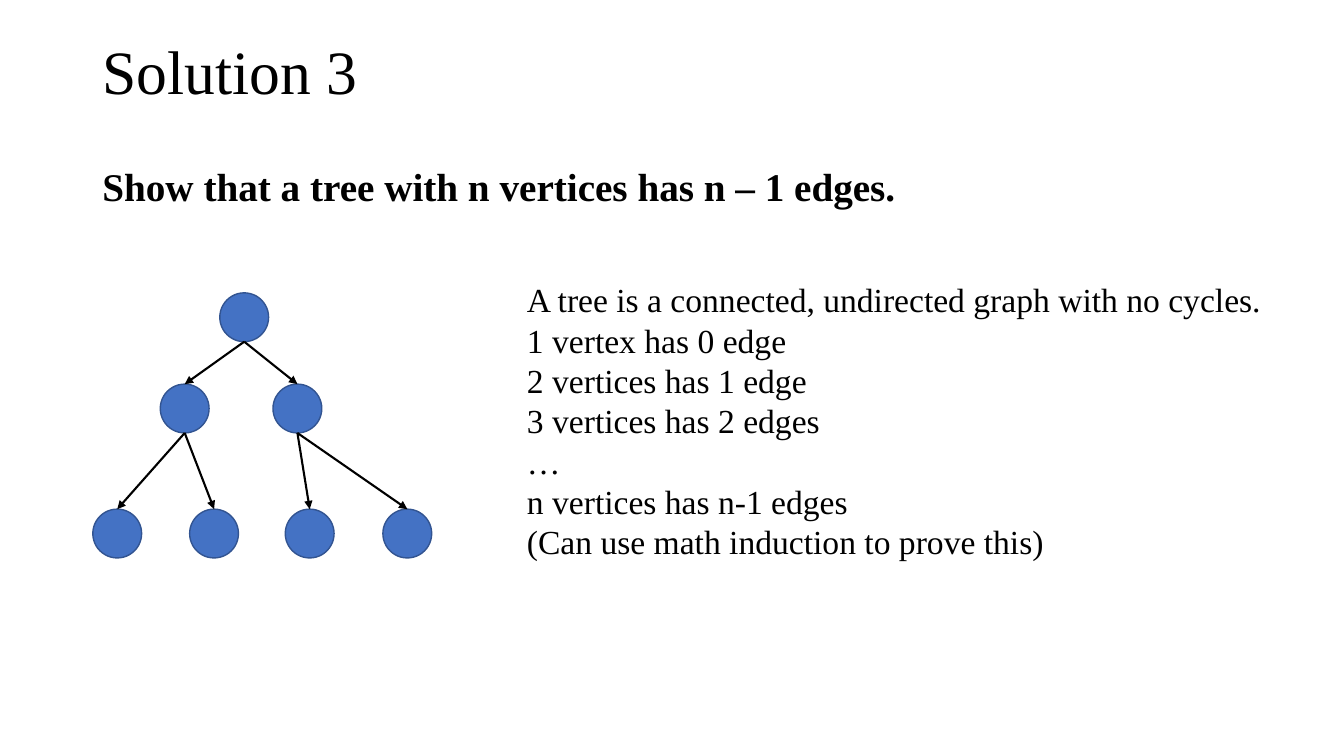
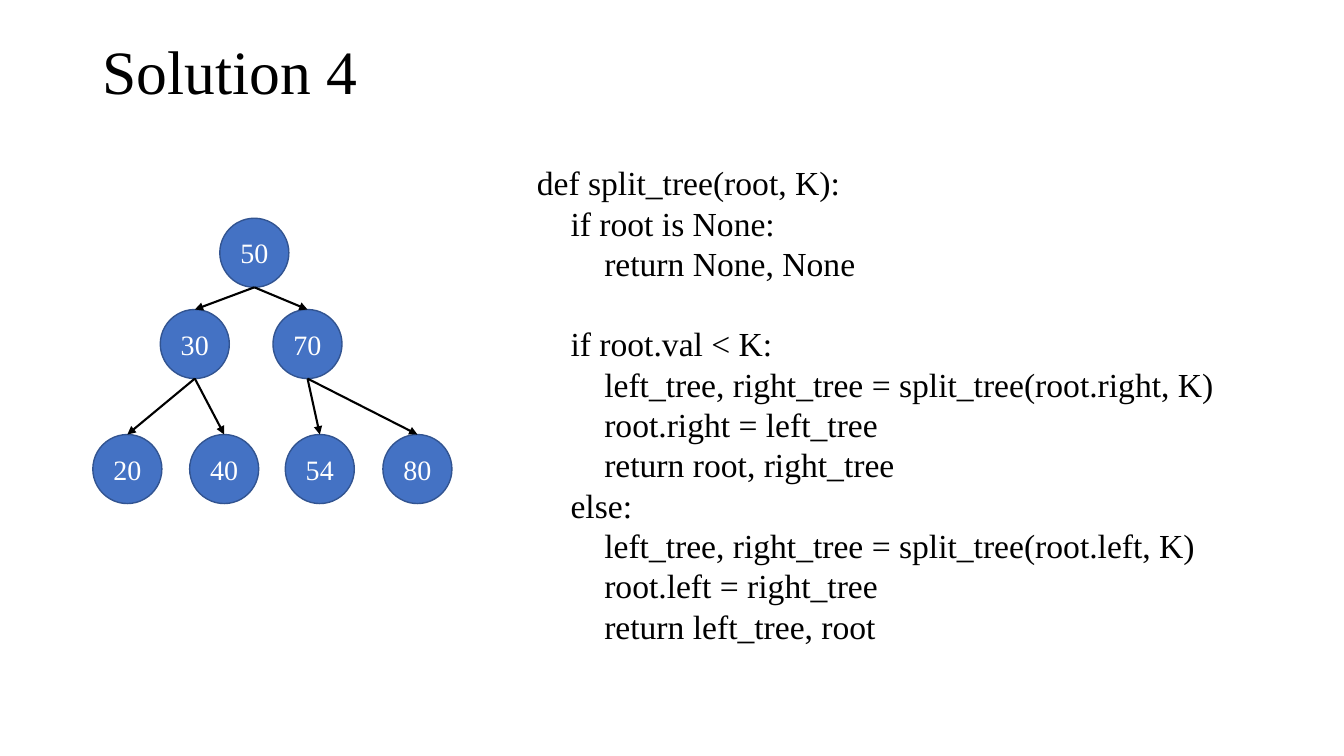
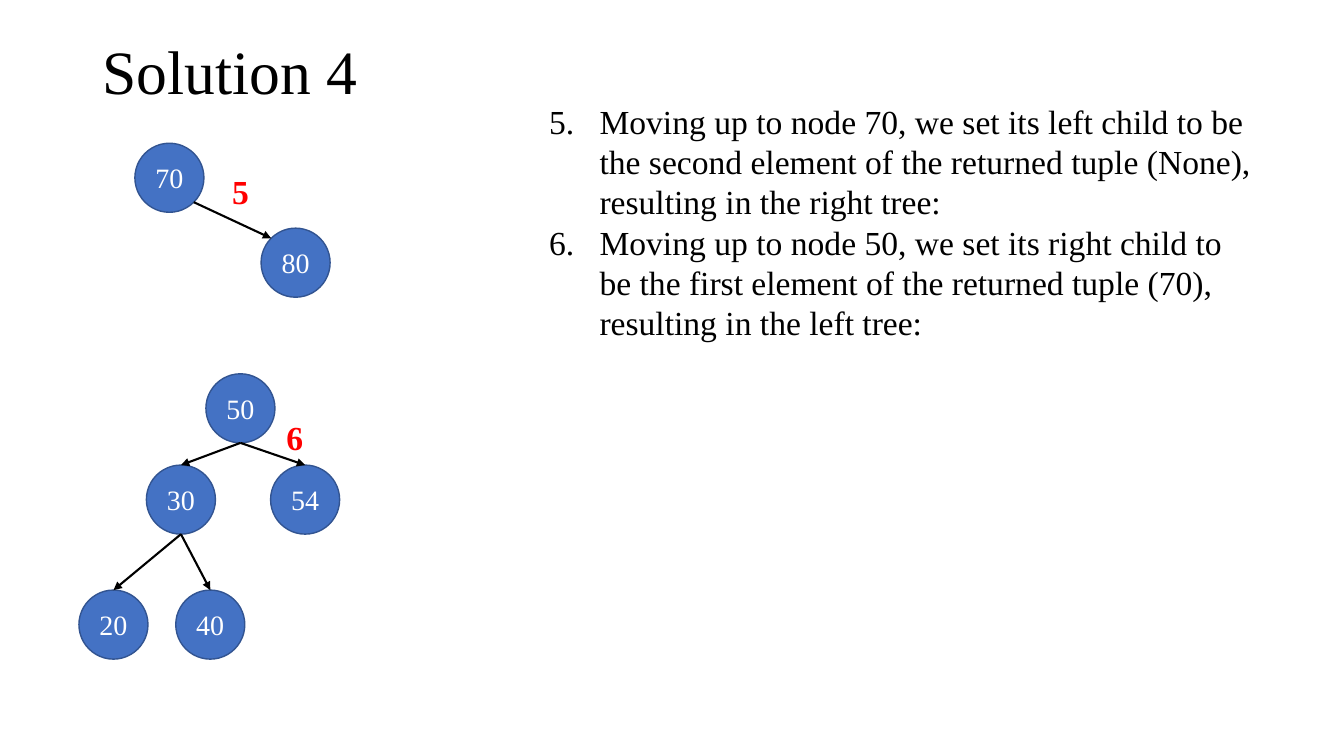
import lxml.etree
import pptx
import pptx.dml.color
import pptx.enum.shapes
import pptx.enum.text
import pptx.oxml.ns
import pptx.util

Cm = pptx.util.Cm
Pt = pptx.util.Pt
RGBColor = pptx.dml.color.RGBColor
qn = pptx.oxml.ns.qn

# Shared style
FONT = "Times New Roman"
BLACK = RGBColor(0x00, 0x00, 0x00)
WHITE = RGBColor(0xFF, 0xFF, 0xFF)
RED = RGBColor(0xFF, 0x00, 0x00)
BLUE = RGBColor(0x44, 0x72, 0xC4)
NAVY = RGBColor(0x32, 0x54, 0x91)
SMALL, LARGE = 1.23, 1.74  # node diameters in cm
TAB = 0.85  # one code indent in cm
STEP = 1.27  # hanging indent of a numbered item in cm
LINE = 28.8  # height of a text line in points

# Connection sites of an ellipse
TOP, TOP_LEFT, BOTTOM, LOW_RIGHT = 0, 1, 4, 5

# Node offsets from the root in cm, level by level
PLACES = [(0, 0), (-1.5, 2.3), (1.34, 2.3),
          (-3.2, 5.45), (-0.76, 5.45), (1.65, 5.45), (4.11, 5.45)]

# Content
CLAIM = "Show that a tree with n vertices has n – 1 edges."
PROOF = [
    "A tree is a connected, undirected graph with no cycles.",
    "1 vertex has 0 edge",
    "2 vertices has 1 edge",
    "3 vertices has 2 edges",
    "…",
    "n vertices has n-1 edges",
    "(Can use math induction to prove this)",
]
# Indent level, lines left free above, text
CODE = [
    (0, 0, "def split_tree(root, K):"),
    (1, 0, "if root is None:"),
    (2, 0, "return None, None"),
    (1, 1, "if root.val < K:"),
    (2, 0, "left_tree, right_tree = split_tree(root.right, K)"),
    (2, 0, "root.right = left_tree"),
    (2, 0, "return root, right_tree"),
    (1, 0, "else:"),
    (2, 0, "left_tree, right_tree = split_tree(root.left, K)"),
    (2, 0, "root.left = right_tree"),
    (2, 0, "return left_tree, root"),
]
FIRST = 5
STEPS = [
    "Moving up to node 70, we set its left child to be the second element "
    "of the returned tuple (None), resulting in the right tree:",
    "Moving up to node 50, we set its right child to be the first element "
    "of the returned tuple (70), resulting in the left tree:",
]
FULL = ["50", "30", "70", "20", "40", "54", "80"]
LEFT = ["50", "30", "54", "20", "40"]
MARKS = [("5", 5.44, 4.19), ("6", 6.81, 10.39)]


def add_run(para, text, size, color=BLACK, bold=False):
    run = para.add_run()
    run.text = text
    font = run.font
    font.name, font.size, font.bold = FONT, Pt(size), bold
    font.color.rgb = color


def add_text(slide, box, lines, size=24, color=BLACK, bold=False):
    """Add a text box with one paragraph a line; return its frame."""
    frame = slide.shapes.add_textbox(*map(Cm, box)).text_frame
    frame.word_wrap = True
    for i, line in enumerate(lines):
        para = frame.add_paragraph() if i else frame.paragraphs[0]
        add_run(para, line, size, color, bold)
    return frame


def add_page(deck, title):
    slide = deck.slides.add_slide(deck.slide_layouts[6])
    frame = add_text(slide, (2.33, 0.05, 29.21, 3.68), [title], 44)
    frame.vertical_anchor = pptx.enum.text.MSO_ANCHOR.MIDDLE
    frame.paragraphs[0].line_spacing = 0.9
    return slide


def indent(para, left, first=0):
    props = para._p.get_or_add_pPr()
    props.set("marL", str(Cm(left)))
    props.set("indent", str(Cm(first)))
    return props


def add_node(slide, x, y, size, label):
    kind = pptx.enum.shapes.MSO_SHAPE.OVAL
    node = slide.shapes.add_shape(kind, Cm(x), Cm(y), Cm(size), Cm(size))
    node.shadow.inherit = False
    node.fill.solid()
    node.fill.fore_color.rgb = BLUE
    node.line.color.rgb = NAVY
    node.line.width = Pt(1)
    if label:
        frame = node.text_frame
        frame.margin_left = frame.margin_right = 0
        frame.margin_top = frame.margin_bottom = 0
        frame.vertical_anchor = pptx.enum.text.MSO_ANCHOR.MIDDLE
        para = frame.paragraphs[0]
        para.alignment = pptx.enum.text.PP_ALIGN.CENTER
        add_run(para, label, 20, WHITE)
    return node


def site_point(node, site):
    """Point of a connection site on the rim of a round node."""
    near, far = 0.5 - 0.125 ** 0.5, 0.5 + 0.125 ** 0.5
    fx, fy = {TOP: (0.5, 0), TOP_LEFT: (near, near),
              BOTTOM: (0.5, 1), LOW_RIGHT: (far, far)}[site]
    return node.left + int(node.width * fx), node.top + int(node.height * fy)


def add_edge(slide, start, end, out=BOTTOM, into=TOP):
    kind = pptx.enum.shapes.MSO_CONNECTOR.STRAIGHT
    edge = slide.shapes.add_connector(
        kind, *site_point(start, out), *site_point(end, into))
    edge.line.color.rgb = BLACK
    edge.line.width = Pt(1.5)
    # Arrowhead, no shadow
    lxml.etree.SubElement(edge.line._get_or_add_ln(), qn("a:tailEnd"),
                          type="triangle")
    lxml.etree.SubElement(edge._element.spPr, qn("a:effectLst"))
    # Join both ends to the round nodes
    joins = edge._element.find(".//" + qn("p:cNvCxnSpPr"))
    for tag, node, site in (("a:stCxn", start, out), ("a:endCxn", end, into)):
        lxml.etree.SubElement(joins, qn(tag), id=str(node.shape_id),
                              idx=str(site))


def add_tree(slide, x, y, size, labels, shift=0):
    """Draw a binary tree by levels; shift moves the root's right child."""
    nodes = []
    for i, (label, (dx, dy)) in enumerate(zip(labels, PLACES)):
        dx += shift if i == 2 else 0
        nodes.append(add_node(slide, x + dx, y + dy, size, label))
    for i, node in enumerate(nodes[1:]):
        add_edge(slide, nodes[i // 2], node)


def proof_page(deck):
    slide = add_page(deck, "Solution 3")
    frame = add_text(slide, (2.33, 4.09, 29.21, 1.6), [CLAIM], 28, bold=True)
    frame.paragraphs[0].line_spacing = 0.9
    add_tree(slide, 5.54, 7.38, SMALL, [""] * len(PLACES))
    add_text(slide, (13.03, 6.91, 19.43, 7.44), PROOF)


def code_page(deck):
    slide = add_page(deck, "Solution 4")
    add_tree(slide, 5.54, 5.5, LARGE, FULL)
    frame = add_text(slide, (13.28, 3.96, 18.42, 12.57),
                     [text for _, _, text in CODE])
    for para, (level, gap, _) in zip(frame.paragraphs, CODE):
        indent(para, level * TAB)
        para.space_before = Pt(gap * LINE)


def steps_page(deck):
    slide = add_page(deck, "Solution 4")
    frame = add_text(slide, (13.59, 2.41, 18.42, 6.4), STEPS)
    for para in frame.paragraphs:
        lxml.etree.SubElement(indent(para, STEP, -STEP), qn("a:buAutoNum"),
                              type="arabicPeriod", startAt=str(FIRST))
    # Right tree, then left tree
    root = add_node(slide, 3.4, 3.61, LARGE, "70")
    child = add_node(slide, 6.58, 5.75, LARGE, "80")
    add_edge(slide, root, child, LOW_RIGHT, TOP_LEFT)
    add_tree(slide, 5.19, 9.42, LARGE, LEFT, 0.29)
    # Step marks
    for mark, x, y in MARKS:
        frame = add_text(slide, (x, y, 1.24, 1.27), [mark], 24, RED, True)
        frame.paragraphs[0].alignment = pptx.enum.text.PP_ALIGN.CENTER


def main():
    deck = pptx.Presentation()
    deck.slide_width, deck.slide_height = Cm(33.87), Cm(19.05)
    for page in (proof_page, code_page, steps_page):
        page(deck)
    deck.save("out.pptx")


if __name__ == "__main__":
    main()
